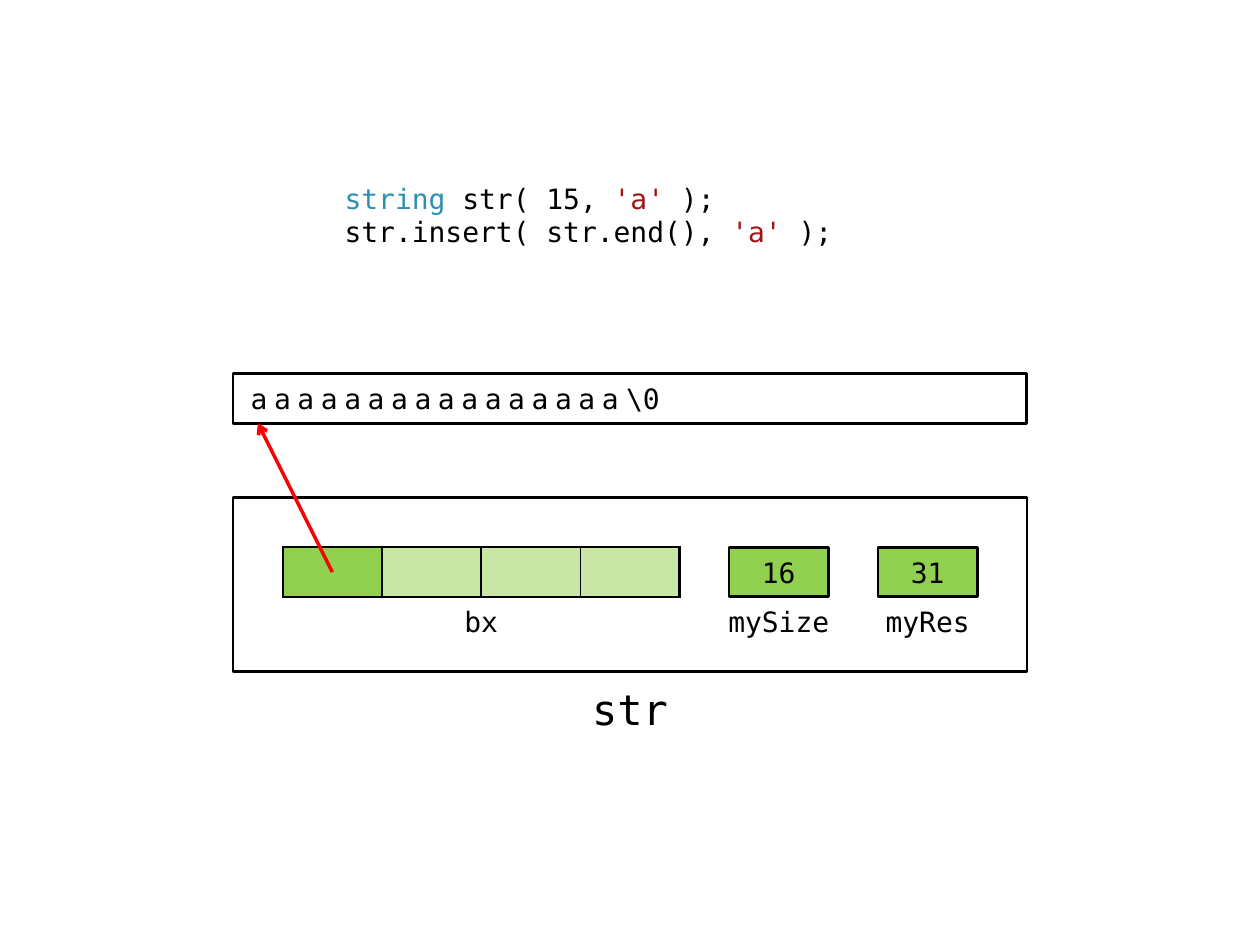
from lxml import etree
from pptx import Presentation
from pptx.dml.color import RGBColor
from pptx.enum.shapes import MSO_CONNECTOR as CONN, MSO_SHAPE as SHAPE
from pptx.enum.text import MSO_ANCHOR as ANCHOR, PP_ALIGN as ALIGN
from pptx.oxml.ns import qn
from pptx.util import Inches, Pt

COLORS = {
    "black": "000000",
    "white": "FFFFFF",
    "green": "92D050",
    "red": "FF0000",
    "type": "2B91AF",
    "literal": "A31515",
}
UNIT = 6.3 / 16
LEFT, TOP = 1.85, 3.95


def rgb(name):
    return RGBColor.from_string(COLORS[name])


class Diagram:
    font = "DejaVu Sans Mono"
    size = 16
    line = 1.5

    def __init__(self, slide):
        self.slide = slide

    def point(self, x, y):
        return Inches(LEFT + x * UNIT), Inches(TOP + y * UNIT)

    def place(self, x, y, w, h):
        return *self.point(x, y), Inches(w * UNIT), Inches(h * UNIT)

    def style(self, p, size=None, align=ALIGN.LEFT):
        p.alignment = align
        p.font.name = self.font
        p.font.size = Pt(size or self.size)
        p.font.color.rgb = rgb("black")

    def add_runs(self, p, runs):
        for text, color in runs:
            r = p.add_run()
            r.text = text
            r.font.color.rgb = rgb(color)

    def code(self, at, lines):
        tf = self.slide.shapes.add_textbox(*self.place(*at)).text_frame
        tf.word_wrap = True
        for i, runs in enumerate(lines):
            p = tf.add_paragraph() if i else tf.paragraphs[0]
            self.style(p)
            self.add_runs(p, runs)

    def label(self, at, text, size=None):
        tf = self.slide.shapes.add_textbox(*self.place(*at)).text_frame
        tf.word_wrap = False
        tf.vertical_anchor = ANCHOR.MIDDLE
        p = tf.paragraphs[0]
        self.style(p, size, ALIGN.CENTER)
        self.add_runs(p, [(text, "black")])

    def box(self, at, fill, text="", kind=SHAPE.RECTANGLE):
        sp = self.slide.shapes.add_shape(kind, *self.place(*at))
        sp.shadow.inherit = False
        sp.fill.solid()
        sp.fill.fore_color.rgb = rgb(fill)
        sp.line.color.rgb = rgb("black")
        sp.line.width = Pt(self.line)
        sp.text_frame.vertical_anchor = ANCHOR.MIDDLE
        if text:
            p = sp.text_frame.paragraphs[0]
            self.style(p, align=ALIGN.CENTER)
            self.add_runs(p, [(text, "black")])
        return sp

    def buffer(self, at, pieces):
        tf = self.box(at, "white").text_frame
        tf.margin_left = Inches(0.14)
        p = tf.paragraphs[0]
        self.style(p)
        self.add_runs(p, [(text, "black") for text, _ in pieces])
        for r, (_, spacing) in zip(p.runs, pieces):
            r.font._element.set("spc", str(spacing))

    def border(self, cell, side, width):
        ln = etree.SubElement(cell._tc.get_or_add_tcPr(), qn(f"a:ln{side}"), w=str(Pt(width)))
        fill = etree.SubElement(ln, qn("a:solidFill"))
        etree.SubElement(fill, qn("a:srgbClr"), val=COLORS["black"])

    def cells(self, at, count):
        table = self.slide.shapes.add_table(1, count, *self.place(*at)).table
        table.first_row = table.horz_banding = False
        for i in range(count):
            cell = table.cell(0, i)
            cell.margin_top = cell.margin_bottom = 0
            self.style(cell.text_frame.paragraphs[0])
            self.border(cell, "L", 1 if i else self.line)
            self.border(cell, "R", 1 if i < count - 1 else self.line)
            self.border(cell, "T", self.line)
            self.border(cell, "B", self.line)
            cell.fill.solid()
            cell.fill.fore_color.rgb = rgb("green")
            if i:
                color = cell._tc.tcPr.find(qn("a:solidFill"))[0]
                etree.SubElement(color, qn("a:alpha"), val="50000")

    def arrow(self, start, end):
        cx = self.slide.shapes.add_connector(CONN.STRAIGHT, *self.point(*start), *self.point(*end))
        cx.line.color.rgb = rgb("red")
        cx.line.width = Pt(2)
        etree.SubElement(cx.line._get_or_add_ln(), qn("a:tailEnd"), type="arrow")
        etree.SubElement(cx._element.spPr, qn("a:effectLst"))


def main():
    prs = Presentation()
    prs.slide_width, prs.slide_height = Inches(10), Inches(7.5)
    d = Diagram(prs.slides.add_slide(prs.slide_layouts[6]))

    d.code((2, -6.5, 12, 2), [
        [("string ", "type"), ("str( 15, ", "black"), ("'a' ", "literal"), (");", "black")],
        [("str.insert( str.end(), ", "black"), ("'a' ", "literal"), (");", "black")],
    ])
    d.label((6.5, 3.5, 3, 1.5), "str", 24)
    d.box((0, 0, 16, 3.5), "white", kind=SHAPE.FLOWCHART_PROCESS)
    d.label((4, 2, 2, 1), "bx")
    for x, value, name in ((10, "16", "mySize"), (13, "31", "myRes")):
        d.box((x, 1, 2, 1), "green", value)
        d.label((x - 0.5, 2, 3, 1), name)
    d.cells((1, 1, 8, 1), 4)
    d.buffer((0, -2.5, 16, 1), [("a" * 16, 380), ("\\", -150), ("0", 0)])
    d.arrow((2, 1.5), (0.5, -1.5))

    prs.save("out.pptx")


if __name__ == "__main__":
    main()
